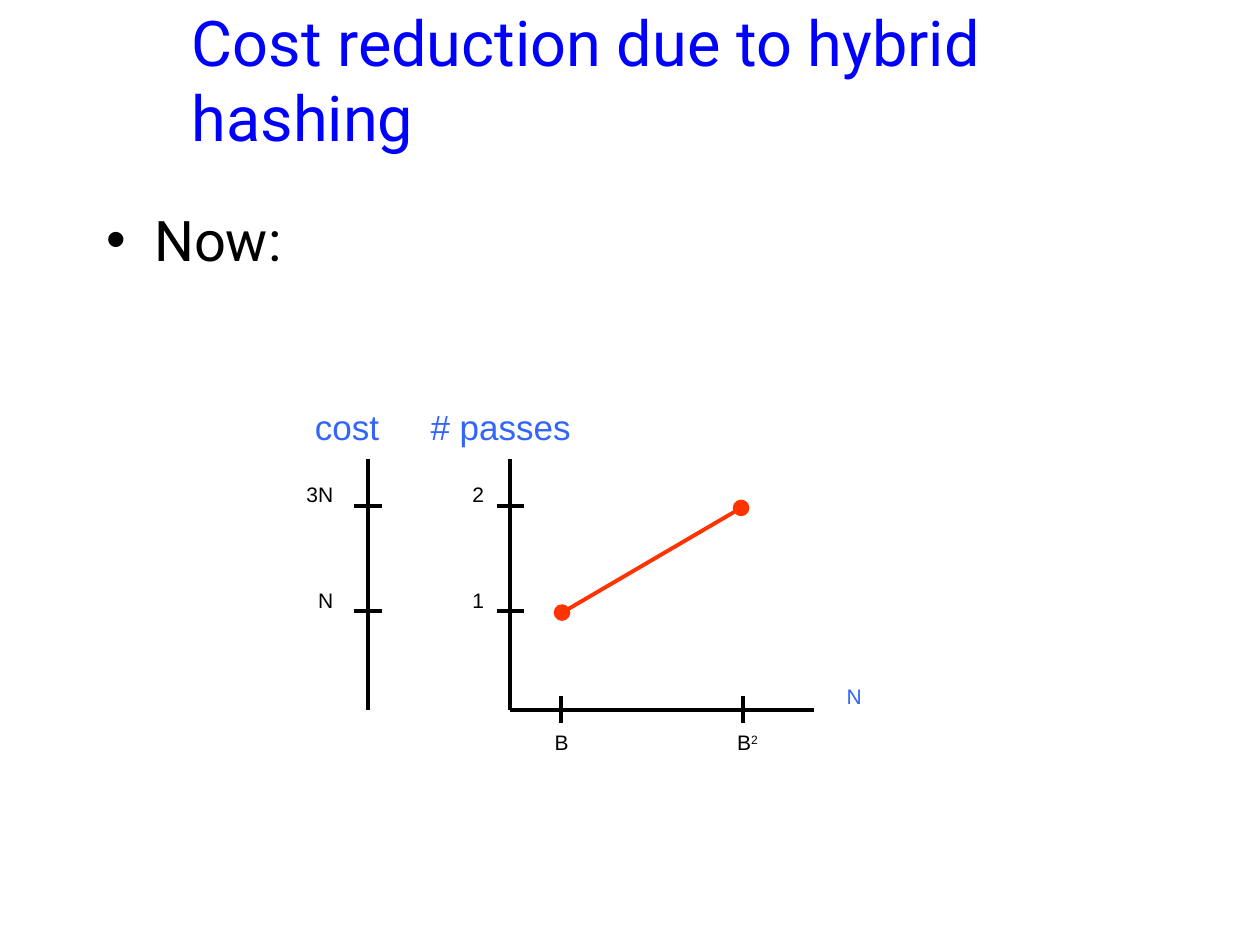
from lxml.etree import SubElement
from pptx import Presentation
from pptx.dml.color import RGBColor
from pptx.enum.shapes import MSO_CONNECTOR, MSO_SHAPE
from pptx.enum.text import MSO_ANCHOR as Anchor, MSO_AUTO_SIZE as AutoSize, PP_ALIGN as Align
from pptx.oxml.ns import qn
from pptx.util import Cm, Pt

BLACK, BLUE, LABEL_BLUE, RED = "000000", "0000FF", "3365FB", "FF3300"
LABEL_HEIGHT = 0.76


def color(value):
    return RGBColor.from_string(value)


def apply_format(target, values):
    for name, value in values.items():
        setattr(target, name, value)


def format_font(font, size, name, value):
    apply_format(font, {"size": Pt(size), "name": name})
    font.color.rgb = color(value)


def place(shape, left, top, width, height):
    apply_format(shape, {"left": Cm(left), "top": Cm(top),
                         "width": Cm(width), "height": Cm(height)})


def fill_placeholder(shape, box, text, size, value, anchor):
    place(shape, *box)
    frame = shape.text_frame
    apply_format(frame, {"text": text, "vertical_anchor": anchor,
                         "auto_size": AutoSize.NONE, "word_wrap": True})
    paragraph = frame.paragraphs[0]
    apply_format(paragraph, {"alignment": Align.LEFT, "space_before": Pt(0)})
    format_font(paragraph.runs[0].font, size, "Roboto", value)


def add_label(slide, text, left, top, width, height=LABEL_HEIGHT,
              size=12, value=BLACK, align=Align.LEFT, superscript=""):
    shape = slide.shapes.add_textbox(Cm(left), Cm(top), Cm(width), Cm(height))
    frame = shape.text_frame
    apply_format(frame, {"word_wrap": False, "auto_size": AutoSize.NONE})
    paragraph = frame.paragraphs[0]
    paragraph.alignment = align
    for part in filter(None, (text, superscript)):
        run = paragraph.add_run()
        run.text = part
        format_font(run.font, size, "Arial", value)
    if superscript:
        run.font._element.set("baseline", "30000")


def add_line(slide, start, end, value=BLACK):
    line = slide.shapes.add_connector(
        MSO_CONNECTOR.STRAIGHT, *(Cm(length) for length in (*start, *end)))
    line.line.width = Pt(2.25)
    line.line.color.rgb = color(value)
    SubElement(line._element.spPr, qn("a:effectLst"))


def add_dot(slide, center, diameter=0.3):
    x, y = center
    dot = slide.shapes.add_shape(MSO_SHAPE.OVAL, Cm(x - diameter / 2),
                                 Cm(y - diameter / 2), Cm(diameter), Cm(diameter))
    dot.shadow.inherit = False
    dot.fill.solid()
    dot.fill.fore_color.rgb = color(RED)
    dot.line.color.rgb = color(RED)
    dot.line.width = Pt(1)


def add_vertical_axis(slide, x, top, bottom, ticks, label_right, label_width):
    add_line(slide, (x, top), (x, bottom))
    for y, text in ticks:
        add_line(slide, (x - 0.28, y), (x + 0.28, y))
        add_label(slide, text, label_right - label_width, y - 0.61,
                  label_width, align=Align.RIGHT)


def add_horizontal_axis(slide, left, right, y, ticks):
    add_line(slide, (left, y), (right, y))
    for x, superscript, width in ticks:
        add_line(slide, (x, y - 0.28), (x, y + 0.26))
        add_label(slide, "B", x - 0.37, y + 0.27, width, superscript=superscript)
    add_label(slide, "N", right + 0.41, y - 0.66, 0.85, value=LABEL_BLUE)


def add_cost_diagram(slide, left, top):
    axis_top, axis_bottom = top + 1.22, top + 6.29
    high, low = top + 2.17, top + 4.29
    cost_x, passes_x = left + 1.5, left + 4.37
    first_x, second_x = left + 5.38, left + 9.06

    for text, offset, width in (("cost", 0.18, 1.85), ("# passes", 2.51, 3.4)):
        add_label(slide, text, left + offset, top + 0.02, width, 1.12, 20, LABEL_BLUE)
    add_vertical_axis(slide, cost_x, axis_top, axis_bottom,
                      ((high, "3N"), (low, "N")), cost_x - 0.45, 1.15)
    add_vertical_axis(slide, passes_x, axis_top, axis_bottom,
                      ((high, "2"), (low, "1")), passes_x - 0.28, 0.8)
    add_horizontal_axis(slide, passes_x, left + 10.49, axis_bottom,
                        ((first_x, "", 0.85), (second_x, "2", 1.05)))

    points = (first_x + 0.03, low + 0.03), (second_x - 0.04, high + 0.04)
    for point in points:
        add_dot(slide, point)
    add_line(slide, *points, RED)


def main():
    presentation = Presentation()
    apply_format(presentation, {"slide_width": Cm(25.4), "slide_height": Cm(19.05)})
    slide = presentation.slides.add_slide(presentation.slide_layouts[1])
    fill_placeholder(slide.shapes.title, (3.61, 0, 19.89, 3.18),
                     "Cost reduction due to hybrid hashing", 36, BLUE, Anchor.MIDDLE)
    fill_placeholder(slide.placeholders[1], (1.9, 4.01, 21.59, 14.17),
                     "Now:", 32, BLACK, Anchor.TOP)
    add_cost_diagram(slide, 5.92, 8.03)
    presentation.save("out.pptx")


if __name__ == "__main__":
    main()
